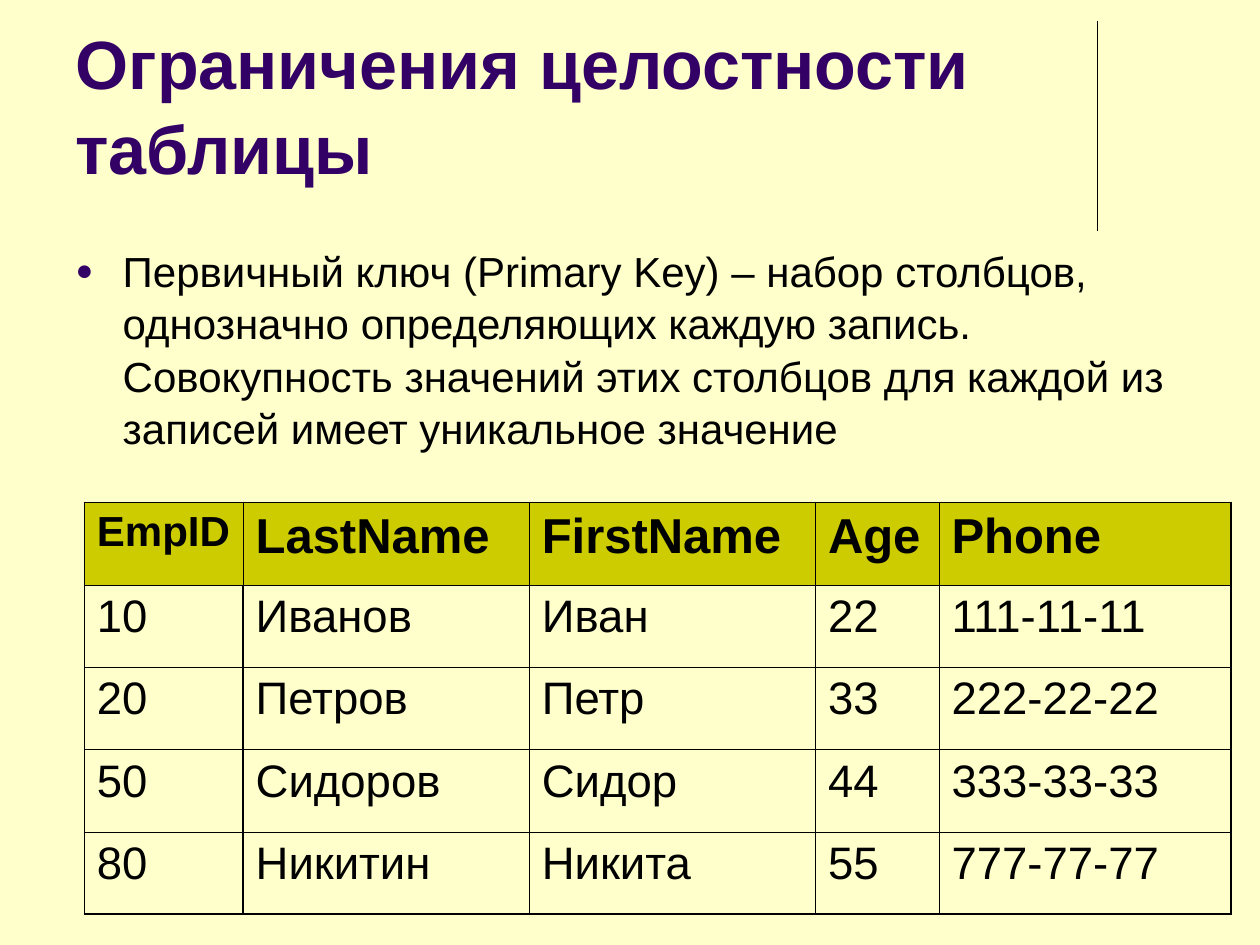
import dataclasses

import pptx
import pptx.dml.color
import pptx.enum.shapes
import pptx.enum.text
import pptx.oxml
import pptx.oxml.ns
import pptx.util
from lxml import etree

Cm = pptx.util.Cm
Pt = pptx.util.Pt


@dataclasses.dataclass(frozen=True)
class Theme:
    font: str = "Arial"
    background: str = "FFFFCC"
    accent: str = "330066"
    ink: str = "000000"
    header_fill: str = "CCCC00"
    title_size: float = 39
    body_size: float = 24
    key_header_size: float = 24
    header_size: float = 28
    cell_size: float = 26
    line_spacing: float = 1.04
    thin: float = 0.45
    thick: float = 1.08
    rule: float = 0.75


THEME = Theme()

HEADING = "Ограничения целостности таблицы"
DEFINITION = (
    "Первичный ключ (Primary Key) – набор столбцов, однозначно определяющих "
    "каждую запись. Совокупность значений этих столбцов для каждой из записей "
    "имеет уникальное значение"
)
KEYS = [["EmpID"], ["10"], ["20"], ["50"], ["80"]]
EMPLOYEES = [
    ["LastName", "FirstName", "Age", "Phone"],
    ["Иванов", "Иван", "22", "111-11-11"],
    ["Петров", "Петр", "33", "222-22-22"],
    ["Сидоров", "Сидор", "44", "333-33-33"],
    ["Никитин", "Никита", "55", "777-77-77"],
]
KEY_WIDTHS = [3.2]
EMPLOYEE_WIDTHS = [5.77, 5.77, 2.49, 5.89]
ROW_HEIGHT = 1.66


def rgb(value):
    return pptx.dml.color.RGBColor.from_string(value)


def write(frame, text, *, size, color=THEME.ink, bold=False, spacing=None):
    frame.word_wrap = True
    paragraph = frame.paragraphs[0]
    paragraph.alignment = pptx.enum.text.PP_ALIGN.LEFT
    paragraph.line_spacing = spacing
    paragraph.space_before = Pt(0)
    run = paragraph.add_run()
    run.text = text
    run.font.name = THEME.font
    run.font.size = Pt(size)
    run.font.bold = bold
    run.font.color.rgb = rgb(color)
    return paragraph


def place(shape, left, top, width, height):
    shape.left, shape.top = Cm(left), Cm(top)
    shape.width, shape.height = Cm(width), Cm(height)


def add_bullet(paragraph, indent):
    properties = paragraph._p.get_or_add_pPr()
    properties.set("marL", str(Cm(indent)))
    properties.set("indent", str(-Cm(indent)))
    namespace = pptx.oxml.ns.nsdecls("a")
    for markup in (
        f'<a:buClr {namespace}><a:srgbClr val="{THEME.accent}"/></a:buClr>',
        f'<a:buSzPct {namespace} val="70000"/>',
        f'<a:buFont {namespace} typeface="{THEME.font}"/>',
        f'<a:buChar {namespace} char="●"/>',
    ):
        properties.append(pptx.oxml.parse_xml(markup))


def heading(slide, left, top, width, height):
    """Title with the vertical rule near its right edge."""
    title = slide.shapes.title
    place(title, left, top, width, height)
    frame = title.text_frame
    frame.auto_size = pptx.enum.text.MSO_AUTO_SIZE.NONE
    frame.vertical_anchor = pptx.enum.text.MSO_ANCHOR.BOTTOM
    write(frame, HEADING, size=THEME.title_size, color=THEME.accent,
          bold=True, spacing=THEME.line_spacing)

    rule_x = Cm(left + width - 0.1)
    rule = slide.shapes.add_connector(
        pptx.enum.shapes.MSO_CONNECTOR.STRAIGHT,
        rule_x, Cm(top + 0.1), rule_x, Cm(top + 4.32))
    rule.line.color.rgb = rgb(THEME.ink)
    rule.line.width = Pt(THEME.rule)
    etree.SubElement(rule._element.spPr, pptx.oxml.ns.qn("a:effectLst"))


def definition(slide, left, top, width, height):
    body = slide.placeholders[1]
    place(body, left, top, width, height)
    frame = body.text_frame
    frame.auto_size = pptx.enum.text.MSO_AUTO_SIZE.NONE
    frame.vertical_anchor = pptx.enum.text.MSO_ANCHOR.TOP
    paragraph = write(frame, DEFINITION, size=THEME.body_size,
                      spacing=THEME.line_spacing)
    add_bullet(paragraph, 0.95)


def set_borders(cell, **widths):
    properties = cell._tc.get_or_add_tcPr()
    for side in "LRTB":
        properties.append(pptx.oxml.parse_xml(
            f'<a:ln{side} {pptx.oxml.ns.nsdecls("a")} w="{Pt(widths[side])}">'
            f'<a:solidFill><a:srgbClr val="{THEME.ink}"/></a:solidFill>'
            f'</a:ln{side}>'))


def data_table(slide, left, top, rows, widths, *, header_size, side_border):
    table = slide.shapes.add_table(
        len(rows), len(widths), Cm(left), Cm(top),
        Cm(sum(widths)), Cm(ROW_HEIGHT * len(rows))).table
    table.first_row = table.horz_banding = False
    for column, width in zip(table.columns, widths):
        column.width = Cm(width)
    last_row, last_column = len(rows) - 1, len(widths) - 1
    for r, values in enumerate(rows):
        table.rows[r].height = Cm(ROW_HEIGHT)
        for c, value in enumerate(values):
            cell = table.cell(r, c)
            is_header = r == 0
            set_borders(
                cell,
                L=side_border if c == 0 else THEME.thin,
                R=side_border if c == last_column else THEME.thin,
                T=THEME.thick if is_header else THEME.thin,
                B=THEME.thick if r == last_row else THEME.thin)
            if is_header:
                cell.fill.solid()
                cell.fill.fore_color.rgb = rgb(THEME.header_fill)
            else:
                cell.fill.background()
            write(cell.text_frame, value, bold=is_header,
                  size=header_size if is_header else THEME.cell_size)


def records(slide, left, top):
    """Employee table with its key column standing to the left."""
    data_table(slide, left + sum(KEY_WIDTHS), top, EMPLOYEES, EMPLOYEE_WIDTHS,
               header_size=THEME.header_size, side_border=THEME.thick)
    data_table(slide, left, top, KEYS, KEY_WIDTHS,
               header_size=THEME.key_header_size, side_border=THEME.thin)


def main():
    deck = pptx.Presentation()
    deck.slide_width, deck.slide_height = Cm(25.4), Cm(19.05)
    slide = deck.slides.add_slide(deck.slide_layouts[1])
    slide.background.fill.solid()
    slide.background.fill.fore_color.rgb = rgb(THEME.background)
    heading(slide, 1.27, 0.33, 20.95, 3.6)
    definition(slide, 1.27, 4.78, 22.86, 12.24)
    records(slide, 1.7, 10.13)
    deck.save("out.pptx")


if __name__ == "__main__":
    main()
